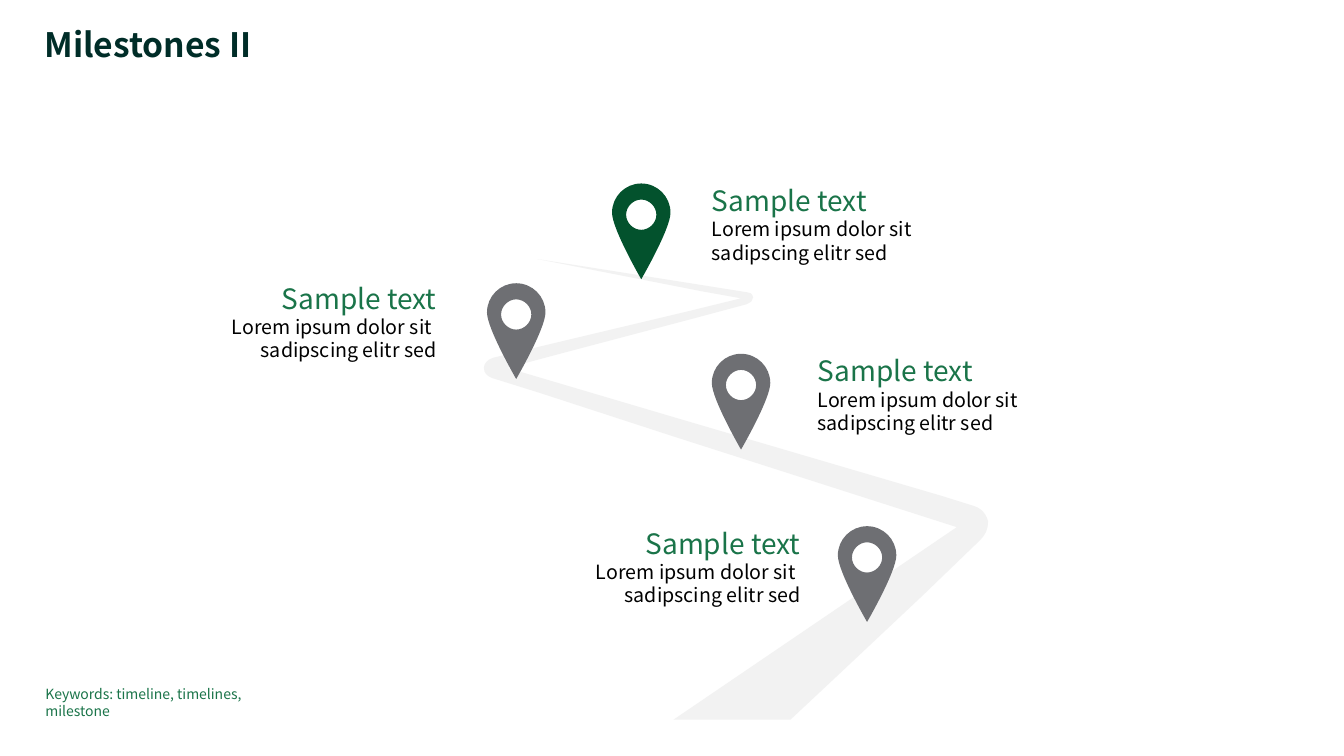
from lxml import etree
from pptx import Presentation
from pptx.dml.color import RGBColor
from pptx.enum.text import MSO_ANCHOR, MSO_AUTO_SIZE, PP_ALIGN
from pptx.oxml.ns import qn
from pptx.util import Inches, Pt

LEFT, RIGHT = PP_ALIGN.LEFT, PP_ALIGN.RIGHT
TOP = MSO_ANCHOR.TOP
FIXED = MSO_AUTO_SIZE.NONE
FONT = "Noto Sans CJK JP"
DARK, GREEN, LIGHT = "002D28", "03522D", "1A7449"
GRAY, PALE, BLACK = "6E6F73", "F2F2F2", "000000"

ROAD = [
    [(5, 2.6)],
    [(4.97, 2.49), (4.89, 2.46), (4.86, 2.45)],
    [(4.54, 2.35)], [(1.92, 1.58)], [(0.23, 1.08)],
    [(0.83, 0.92)], [(2.04, 0.6)], [(2.6, 0.45)],
    [(2.65, 0.43), (2.67, 0.41), (2.67, 0.38)],
    [(2.66, 0.34), (2.64, 0.33), (2.61, 0.33)],
    [(2.17, 0.26)], [(0.53, 0)], [(2.16, 0.32)], [(2.55, 0.39)],
    [(2.02, 0.52)], [(0.8, 0.81)], [(0.09, 0.98)],
    [(0.03, 1), (0, 1.04), (0, 1.08)],
    [(0, 1.13), (0.03, 1.16), (0.08, 1.18)],
    [(0.56, 1.33)], [(1.88, 1.76)], [(4.69, 2.66)],
    [(1.88, 4.57)], [(3.04, 4.57)], [(3.51, 4.13)],
    [(4.35, 3.34)], [(4.92, 2.79)],
    [(4.97, 2.74), (5, 2.69), (5, 2.6)],
]
HOLE = [
    [(0.29, 0.46)],
    [(0.21, 0.46), (0.14, 0.39), (0.14, 0.31)],
    [(0.14, 0.23), (0.21, 0.16), (0.29, 0.16)],
    [(0.37, 0.16), (0.44, 0.23), (0.44, 0.31)],
    [(0.44, 0.39), (0.37, 0.46), (0.29, 0.46)],
]
DROP = [
    [(0.29, 0)],
    [(0.13, 0), (0, 0.13), (0, 0.29)],
    [(0, 0.45), (0.29, 0.95), (0.29, 0.95)],
    [(0.29, 0.95), (0.58, 0.45), (0.58, 0.29)],
    [(0.58, 0.13), (0.45, 0), (0.29, 0)],
]
STOPS = [
    (6.07, 1.82, GREEN, 7.06, 1.82, LEFT),
    (4.83, 2.81, GRAY, 2.12, 2.79, RIGHT),
    (7.06, 3.51, GRAY, 8.11, 3.51, LEFT),
    (8.31, 5.22, GRAY, 5.73, 5.22, RIGHT),
]


def color(code):
    return RGBColor.from_string(code)


def bend(shape, rings):
    track = next(shape.element.iter(qn("a:path")))
    lines = iter(track.findall(qn("a:lnTo")))
    for ring in rings:
        for part in ring[1:]:
            group = [next(lines) for dot in part]
            if len(group) == 3:
                curve = etree.Element(qn("a:cubicBezTo"))
                group[0].addprevious(curve)
                for line in group:
                    curve.append(line[0])
                    track.remove(line)


def outline(slide, rings, left, top, fill):
    pen = None
    for ring in rings:
        dots = [(Inches(left + x), Inches(top + y)) for part in ring for x, y in part]
        if pen is None:
            pen = slide.shapes.build_freeform(*dots[0], scale=1.0)
        else:
            pen.move_to(*dots[0])
        pen.add_line_segments(dots[1:], close=True)
    shape = pen.convert_to_shape()
    bend(shape, rings)
    shape.shadow.inherit = False
    shape.fill.solid()
    shape.fill.fore_color.rgb = color(fill)
    shape.line.fill.background()


def write(shape, box, lines, align=LEFT):
    shape.left, shape.top, shape.width, shape.height = map(Inches, box)
    frame = shape.text_frame
    frame.word_wrap = True
    frame.auto_size = FIXED
    frame.vertical_anchor = TOP
    frame.margin_left = frame.margin_right = frame.margin_top = frame.margin_bottom = 0
    for index, (text, size, tint, bold) in enumerate(lines):
        para = frame.add_paragraph() if index else frame.paragraphs[0]
        para.text = text
        para.alignment = align
        para.font.name = FONT
        para.font.size = Pt(size)
        para.font.bold = bold
        para.font.color.rgb = color(tint)
    return frame


def heading(slide, box):
    frame = write(slide.shapes.title, box, [("Milestones II", 24, DARK, True)])
    frame.paragraphs[0].line_spacing = 0.9


def label(slide, box, lines, align=LEFT):
    write(slide.shapes.add_textbox(0, 0, 0, 0), box, lines, align)


def main():
    deck = Presentation()
    deck.slide_width, deck.slide_height = Inches(13.33), Inches(7.5)
    slide = deck.slides.add_slide(deck.slide_layouts[5])
    heading(slide, (0.44, 0.28, 11.03, 0.37))
    outline(slide, [ROAD], 4.8, 2.57, PALE)
    note = [
        ("Sample text", 20, LIGHT, False),
        ("Lorem ipsum dolor sit \nsadipscing elitr sed", 14, BLACK, False),
    ]
    for left, top, fill, side, head, align in STOPS:
        label(slide, (side, head, 2.21, 0.81), note, align)
        outline(slide, [HOLE, DROP], left, top, fill)
    label(slide, (0.45, 6.8, 2.48, 0.17),
          [("Keywords: timeline, timelines, milestone", 10, LIGHT, False)])
    deck.save("out.pptx")


if __name__ == "__main__":
    main()
